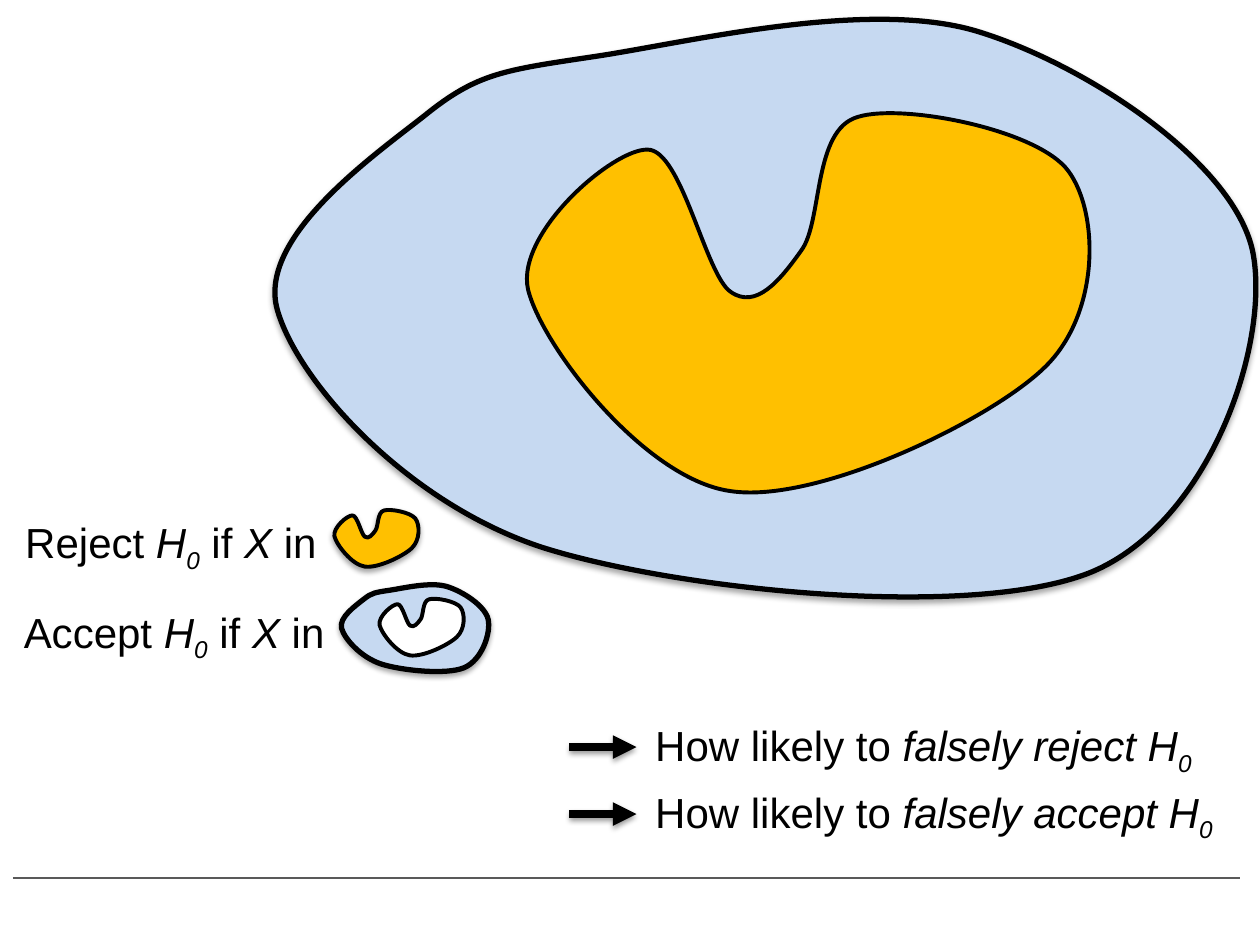
from dataclasses import dataclass

import lxml.etree
import pptx
import pptx.dml.color
import pptx.enum.shapes
import pptx.enum.text
import pptx.oxml.ns
import pptx.util

Cm = pptx.util.Cm
Pt = pptx.util.Pt
qn = pptx.oxml.ns.qn


@dataclass(frozen=True)
class Theme:
    font: str = "Arial"
    text_size: float = 24
    ink: str = "000000"
    space: str = "C6D9F1"
    region: str = "FFC000"
    hole: str = "FFFFFF"
    rule: str = "595959"
    space_line: float = 3
    region_line: float = 2.25
    arrow_line: float = 4.5
    rule_line: float = 1


@dataclass(frozen=True)
class Outline:
    """A frame (left, top, width, height), a start point and cubic curves."""
    frame: tuple
    start: tuple
    curves: tuple


THEME = Theme()

SAMPLE_SPACE = Outline((2.18, 0.16, 7.78, 4.58), (4.73, 0.45), (
    (4, 0.56, 3.79, 0.58, 3.37, 0.92),
    (2.95, 1.25, 2.04, 1.89, 2.2, 2.46),
    (2.36, 3.03, 3.23, 4, 4.31, 4.35),
    (5.39, 4.69, 7.73, 4.93, 8.67, 4.54),
    (9.61, 4.14, 10.09, 2.71, 9.94, 1.99),
    (9.78, 1.28, 8.61, 0.51, 7.75, 0.25),
    (6.88, -0.01, 5.46, 0.34, 4.73, 0.45),
))
REJECT_REGION = Outline((4.18, 0.9, 4.47, 3.01), (5.14, 1.19), (
    (4.87, 1.18, 4.09, 1.85, 4.19, 2.3),
    (4.3, 2.75, 5.11, 3.8, 5.79, 3.9),
    (6.47, 4.01, 7.84, 3.35, 8.28, 2.93),
    (8.73, 2.51, 8.73, 1.7, 8.48, 1.36),
    (8.24, 1.03, 7.16, 0.82, 6.81, 0.93),
    (6.45, 1.03, 6.53, 1.76, 6.36, 1.99),
    (6.19, 2.23, 6, 2.46, 5.8, 2.32),
    (5.6, 2.19, 5.41, 1.19, 5.14, 1.19),
))

# Character styles
PLAIN = {"italic": False}
ITALIC = {"italic": True}


def rgb(code):
    return pptx.dml.color.RGBColor.from_string(code)


def apply_format(target, values):
    for name, value in values.items():
        setattr(target, name, value)


def add_effects(shape, opacity=None, distance=0):
    """Turn off the inherited shadow, or set a soft one straight below."""
    properties = shape._element.spPr
    effects = lxml.etree.SubElement(properties, qn("a:effectLst"))
    if opacity is None:
        return
    shadow = lxml.etree.SubElement(
        effects, qn("a:outerShdw"), blurRad=str(Pt(3.1)),
        dist=str(Pt(distance)), dir="5400000", rotWithShape="0")
    color = lxml.etree.SubElement(shadow, qn("a:srgbClr"), val=THEME.ink)
    lxml.etree.SubElement(color, qn("a:alpha"), val=str(opacity * 1000))


def bend_segments(blob, curves):
    """Turn each straight segment of a freeform into a cubic curve."""
    segments = list(blob._element.iter(qn("a:lnTo")))
    for segment, points in zip(segments, curves):
        curve = lxml.etree.Element(qn("a:cubicBezTo"))
        for x, y in points:
            lxml.etree.SubElement(curve, qn("a:pt"), x=str(x), y=str(y))
        segment.getparent().replace(segment, curve)


def add_blob(page, outline, left, top, width, fill, line, shadow=True):
    x0, y0, across, down = outline.frame
    scale = Cm(width) / across

    def local(x, y):
        return round((x - x0) * scale), round((y - y0) * scale)

    curves = [[local(*curve[i:i + 2]) for i in (0, 2, 4)]
              for curve in outline.curves]
    builder = page.shapes.build_freeform(*local(*outline.start), scale=1.0)
    builder.add_line_segments([curve[-1] for curve in curves], close=False)
    blob = builder.convert_to_shape()
    bend_segments(blob, curves)

    # The frame holds the whole curve, so the outline closes inside it
    outline_path = next(blob._element.iter(qn("a:path")))
    lxml.etree.SubElement(outline_path, qn("a:close"))
    size = {"width": Cm(width), "height": round(down * scale)}
    outline_path.set("w", str(size["width"]))
    outline_path.set("h", str(size["height"]))
    start = outline_path.find(qn("a:moveTo")).find(qn("a:pt"))
    for name, value in zip("xy", local(*outline.start)):
        start.set(name, str(value))
    apply_format(blob, {"left": Cm(left), "top": Cm(top), **size})

    blob.fill.solid()
    blob.fill.fore_color.rgb = rgb(fill)
    blob.line.color.rgb = rgb(THEME.ink)
    blob.line.width = Pt(line)
    add_effects(blob, *((35, 1.8) if shadow else ()))


def add_line(page, left, right, y, color, width):
    line = page.shapes.add_connector(
        pptx.enum.shapes.MSO_CONNECTOR.STRAIGHT,
        Cm(left), Cm(y), Cm(right), Cm(y))
    line.line.color.rgb = rgb(color)
    line.line.width = Pt(width)
    return line


def add_arrow(page, left, right, y):
    arrow = add_line(page, left, right, y, THEME.ink, THEME.arrow_line)
    lxml.etree.SubElement(arrow.line._get_or_add_ln(), qn("a:tailEnd"),
                          type="triangle")
    add_effects(arrow, 38, 1.6)


def add_text(page, left, top, width, spans):
    """Write spans of (text, style); a style of None means subscript."""
    box = page.shapes.add_textbox(Cm(left), Cm(top), Cm(width), Cm(1.27))
    apply_format(box.text_frame, {
        "word_wrap": True,
        "auto_size": pptx.enum.text.MSO_AUTO_SIZE.SHAPE_TO_FIT_TEXT,
    })
    para = box.text_frame.paragraphs[0]
    for text, style in spans:
        span = para.add_run()
        span.text = text
        apply_format(span.font, {"name": THEME.font,
                                 "size": Pt(THEME.text_size),
                                 **(style or ITALIC)})
        span.font.color.rgb = rgb(THEME.ink)
        if style is None:
            span._r.get_or_add_rPr().set("baseline", "-25000")


def add_decision(page, verb, left, top):
    add_text(page, left, top, 10.29, [
        (f"{verb} ", PLAIN), ("H", ITALIC), ("0", None),
        (" if ", PLAIN), ("X", ITALIC), (" in", PLAIN)])


def add_question(page, verb, top):
    add_arrow(page, 11.48, 12.83, top + 0.68)
    add_text(page, 12.96, top, 12.44, [
        ("How likely to ", PLAIN), (f"falsely {verb} H", ITALIC),
        ("0", None)])


def main():
    deck = pptx.Presentation()
    apply_format(deck, {"slide_width": Cm(25.4), "slide_height": Cm(19.05)})
    page = deck.slides.add_slide(deck.slide_layouts[6])

    # Footer rule
    add_effects(add_line(page, 0.26, 24.99, 17.7, THEME.rule,
                         THEME.rule_line))

    # Sample space with the rejection region
    add_blob(page, SAMPLE_SPACE, 5.54, 0.4, 19.76, THEME.space,
             THEME.space_line)
    add_blob(page, REJECT_REGION, 10.62, 2.28, 11.35, THEME.region,
             THEME.region_line, shadow=False)

    # Rejection rule, error questions, acceptance rule
    add_decision(page, "Reject", 0.26, 10.29)
    for row, verb in enumerate(("reject", "accept")):
        add_question(page, verb, 14.38 + 1.35 * row)
    add_blob(page, REJECT_REGION, 6.74, 10.28, 1.7, THEME.region,
             THEME.region_line)
    add_blob(page, SAMPLE_SPACE, 6.88, 11.79, 2.97, THEME.space,
             THEME.space_line)
    add_blob(page, REJECT_REGION, 7.65, 12.07, 1.7, THEME.hole,
             THEME.region_line, shadow=False)
    add_decision(page, "Accept", 0.23, 12.1)

    deck.save("out.pptx")


if __name__ == "__main__":
    main()
